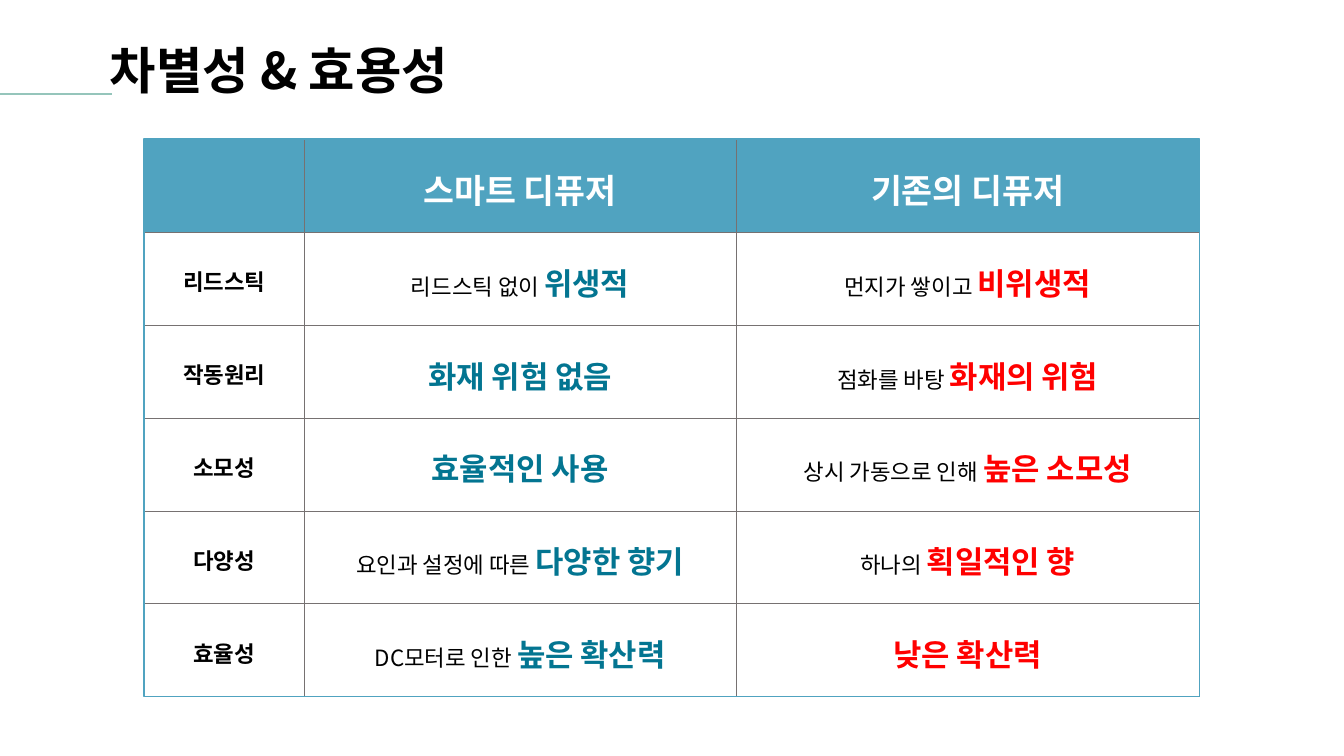
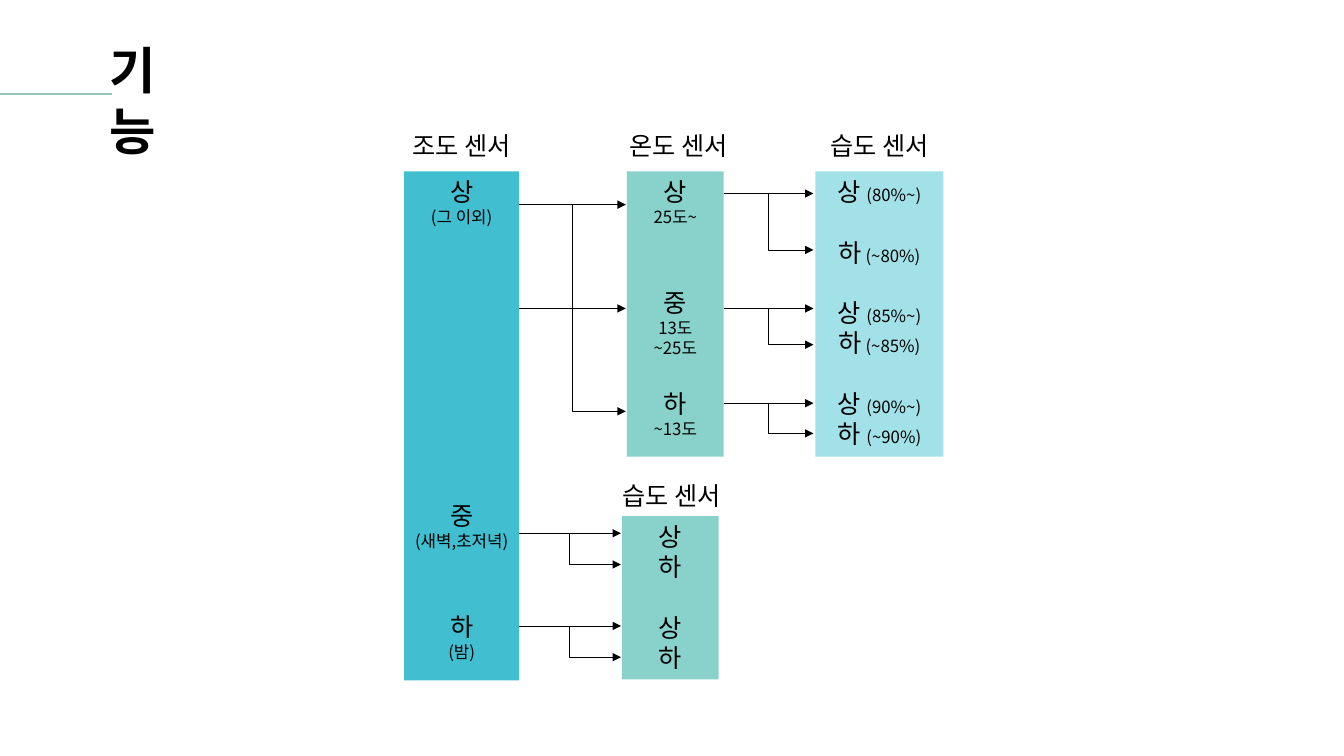
"""Build two slides on a smart diffuser: a comparison table and a sensor tree."""
from dataclasses import dataclass
from itertools import pairwise

from lxml.etree import SubElement
from pptx import Presentation
from pptx.dml.color import RGBColor
from pptx.enum.shapes import MSO_CONNECTOR as Connector, MSO_SHAPE as Shape
from pptx.enum.text import MSO_ANCHOR as Anchor, PP_ALIGN as Align
from pptx.oxml.ns import qn
from pptx.util import Inches, Pt

BLACK = RGBColor(0x00, 0x00, 0x00)
WHITE = RGBColor(0xFF, 0xFF, 0xFF)
RED = RGBColor(0xFF, 0x00, 0x00)
TEAL = RGBColor(0x03, 0x75, 0x91)
BLUE = RGBColor(0x50, 0xA3, 0xC0)
GRAY = RGBColor(0x76, 0x71, 0x71)
SAGE = RGBColor(0x95, 0xC5, 0xBB)
CYAN = RGBColor(0x41, 0xBE, 0xCF)
MINT = RGBColor(0x88, 0xD2, 0xCB)
SKY = RGBColor(0xA2, 0xE1, 0xE8)

FONT = "Noto Sans CJK KR"
WIDTH, HEIGHT = Inches(13.33), Inches(7.5)
COLUMNS, ROWS = 160, 90
NAME_SIZE, NOTE_SIZE = 18, 12
NAME_LINE = 21.7


@dataclass(frozen=True)
class Area:
    left: float
    top: float
    width: float
    height: float

    def place(self) -> tuple[int, int, int, int]:
        return across(self.left), down(self.top), across(self.width), down(self.height)


@dataclass(frozen=True)
class Row:
    label: str
    smart: tuple[str, str]
    usual: tuple[str, str]


@dataclass(frozen=True)
class Line:
    name: str = ""
    note: str = ""
    gap: int = 0


@dataclass(frozen=True)
class Panel:
    title: str
    title_area: Area
    area: Area
    color: RGBColor
    lines: tuple[Line, ...]


@dataclass(frozen=True)
class Fork:
    start: float
    end: float
    levels: tuple[float, ...]


HEADINGS = ("", "스마트 디퓨저", "기존의 디퓨저")
TABLE_ROWS = (
    Row("리드스틱", ("리드스틱 없이 ", "위생적"), ("먼지가 쌓이고 ", "비위생적")),
    Row("작동원리", ("", "화재 위험 없음"), ("점화를 바탕 ", "화재의 위험")),
    Row("소모성", ("", "효율적인 사용"), ("상시 가동으로 인해 ", "높은 소모성")),
    Row("다양성", ("요인과 설정에 따른 ", "다양한 향기"), ("하나의 ", "획일적인 향")),
    Row("효율성", ("DC모터로 인한 ", "높은 확산력"), ("", "낮은 확산력")),
)
TABLE_COLUMNS = (19.08, 51.36, 55.2)
TABLE_ROW = 11.06
TABLE_AREA = Area(17.16, 16.56, sum(TABLE_COLUMNS), TABLE_ROW * (len(TABLE_ROWS) + 1))

TITLE_TOP, PANEL_TOP, TITLE_HEIGHT = 14.88, 20.4, 4.8
PANELS = (
    Panel("조도 센서", Area(47.04, TITLE_TOP, 15.84, TITLE_HEIGHT),
          Area(48.12, PANEL_TOP, 13.68, 60.6), CYAN,
          (Line("상"), Line(note="(그 이외)"),
           Line("중", gap=9), Line(note="(새벽,초저녁)"),
           Line("하", gap=2), Line(note="(밤)"))),
    Panel("온도 센서", Area(72, TITLE_TOP, 17.52, TITLE_HEIGHT),
          Area(74.64, PANEL_TOP, 11.52, 33.96), MINT,
          (Line("상"), Line(note="25도~"),
           Line("중", gap=2), Line(note="13도"), Line(note="~25도"),
           Line("하", gap=1), Line(note="~13도"))),
    Panel("습도 센서", Area(95.76, TITLE_TOP, 17.88, TITLE_HEIGHT),
          Area(97.08, PANEL_TOP, 15.24, 33.96), SKY,
          (Line("상 ", "(80%~)"), Line("하", " (~80%)", 1),
           Line("상 ", "(85%~)", 1), Line("하", " (~85%)"),
           Line("상 ", "(90%~)", 1), Line("하 ", "(~90%)"))),
    Panel("습도 센서", Area(71.4, 56.64, 17.16, TITLE_HEIGHT),
          Area(74.04, 61.44, 11.52, 19.44), MINT,
          (Line("상"), Line("하"), Line("상", gap=1), Line("하"))),
)
FORKS = (
    Fork(61.75, 74.5, (24.36, 36.72, 48.96)),
    Fork(61.75, 73.92, (63.48, 67.2)),
    Fork(61.75, 73.92, (74.52, 78.24)),
    Fork(86.16, 96.84, (23.04, 29.76)),
    Fork(86.16, 96.84, (36.72, 41.04)),
    Fork(86.16, 96.84, (48, 51.6)),
)


def across(columns: float) -> int:
    """Turn grid columns into a length."""
    return round(WIDTH * columns / COLUMNS)


def down(rows: float) -> int:
    """Turn grid rows into a length."""
    return round(HEIGHT * rows / ROWS)


def add_span(para, text: str, *, size: float, color: RGBColor = BLACK, bold: bool = False) -> None:
    """Add formatted text to a paragraph, skipping empty text."""
    if not text:
        return
    span = para.add_run()
    span.text = text
    font = span.font
    font.size, font.bold, font.name = Pt(size), bold, FONT
    font.color.rgb = color
    SubElement(span._r.get_or_add_rPr(), qn("a:ea"), typeface=FONT)


def add_label(page, area: Area, text: str, *, align: Align, size: float, bold: bool = False) -> None:
    """Add a one-paragraph text box."""
    box = page.shapes.add_textbox(*area.place())
    box.text_frame.word_wrap = True
    para = box.text_frame.paragraphs[0]
    para.alignment = align
    add_span(para, text, size=size, bold=bold)


def add_box(page, area: Area):
    """Add a plain rectangle without shadow, fill or line."""
    box = page.shapes.add_shape(Shape.RECTANGLE, *area.place())
    box.shadow.inherit = False
    box.fill.background()
    box.line.fill.background()
    return box


def add_line(page, start: tuple[float, float], end: tuple[float, float], *, kind: Connector = Connector.STRAIGHT,
             color: RGBColor = BLACK, width: float = 0.5, arrow: bool = True) -> None:
    """Add a connector between two grid points."""
    line = page.shapes.add_connector(kind, across(start[0]), down(start[1]), across(end[0]), down(end[1]))
    line.line.color.rgb = color
    line.line.width = Pt(width)
    shape_format = line._element.spPr
    if arrow:
        SubElement(shape_format.get_or_add_ln(), qn("a:tailEnd"), type="triangle")
    SubElement(shape_format, qn("a:effectLst"))


def add_page(deck, title: str, title_width: float):
    """Add a blank page with the shared title and rule."""
    page = deck.slides.add_slide(deck.slide_layouts[6])
    add_line(page, (0, 11.16), (13.32, 11.16), color=SAGE, width=1.5, arrow=False)
    add_label(page, Area(11.88, 4.08, title_width, 8.52), title, align=Align.LEFT, size=36, bold=True)
    return page


def style_cell(cell, fill: RGBColor):
    """Fill and border a cell, and return its centred paragraph."""
    cell.vertical_anchor = Anchor.MIDDLE
    properties = cell._tc.get_or_add_tcPr()
    for side in ("lnL", "lnR", "lnT", "lnB"):
        border = SubElement(properties, qn(f"a:{side}"), w=str(Pt(0.25)))
        paint = SubElement(border, qn("a:solidFill"))
        SubElement(paint, qn("a:srgbClr"), val=str(GRAY))
    cell.fill.solid()
    cell.fill.fore_color.rgb = fill
    para = cell.text_frame.paragraphs[0]
    para.alignment = Align.CENTER
    para.line_spacing = 1.15
    return para


def add_comparison(page) -> None:
    """Add the framed comparison table."""
    table = page.shapes.add_table(len(TABLE_ROWS) + 1, len(HEADINGS), *TABLE_AREA.place()).table
    table.first_row = table.horz_banding = False
    for column, width in zip(table.columns, TABLE_COLUMNS):
        column.width = across(width)
    for row in table.rows:
        row.height = down(TABLE_ROW)
    for index, heading in enumerate(HEADINGS):
        add_span(style_cell(table.cell(0, index), BLUE), heading, size=24, color=WHITE, bold=True)
    for index, row in enumerate(TABLE_ROWS, 1):
        add_span(style_cell(table.cell(index, 0), WHITE), row.label, size=16, bold=True)
        for column, (lead, claim), color in ((1, row.smart, TEAL), (2, row.usual, RED)):
            para = style_cell(table.cell(index, column), WHITE)
            add_span(para, lead, size=16)
            add_span(para, claim, size=22, color=color, bold=True)
    frame = add_box(page, TABLE_AREA)
    frame.line.color.rgb = BLUE
    frame.line.width = Pt(1)


def add_panel(page, panel: Panel) -> None:
    """Add a sensor's title and its filled list of levels."""
    add_label(page, panel.title_area, panel.title, align=Align.CENTER, size=NAME_SIZE)
    box = add_box(page, panel.area)
    box.fill.solid()
    box.fill.fore_color.rgb = panel.color
    frame = box.text_frame
    frame.word_wrap = True
    frame.vertical_anchor = Anchor.TOP
    for index, line in enumerate(panel.lines):
        para = frame.add_paragraph() if index else frame.paragraphs[0]
        para.alignment = Align.CENTER
        para.space_before = Pt(line.gap * NAME_LINE)
        add_span(para, line.name, size=NAME_SIZE)
        add_span(para, line.note, size=NOTE_SIZE)


def add_fork(page, fork: Fork) -> None:
    """Add a straight arrow and the elbows that step down from it."""
    first = fork.levels[0]
    add_line(page, (fork.start, first), (fork.end, first))
    for upper, lower in pairwise(fork.levels):
        add_line(page, (fork.start, upper), (fork.end, lower), kind=Connector.ELBOW)


def main() -> None:
    """Build and save the deck."""
    deck = Presentation()
    deck.slide_width, deck.slide_height = WIDTH, HEIGHT
    add_comparison(add_page(deck, "차별성 & 효용성", 48.24))
    page = add_page(deck, "기능", 12.84)
    for panel in PANELS:
        add_panel(page, panel)
    for fork in FORKS:
        add_fork(page, fork)
    deck.save("out.pptx")


if __name__ == "__main__":
    main()
